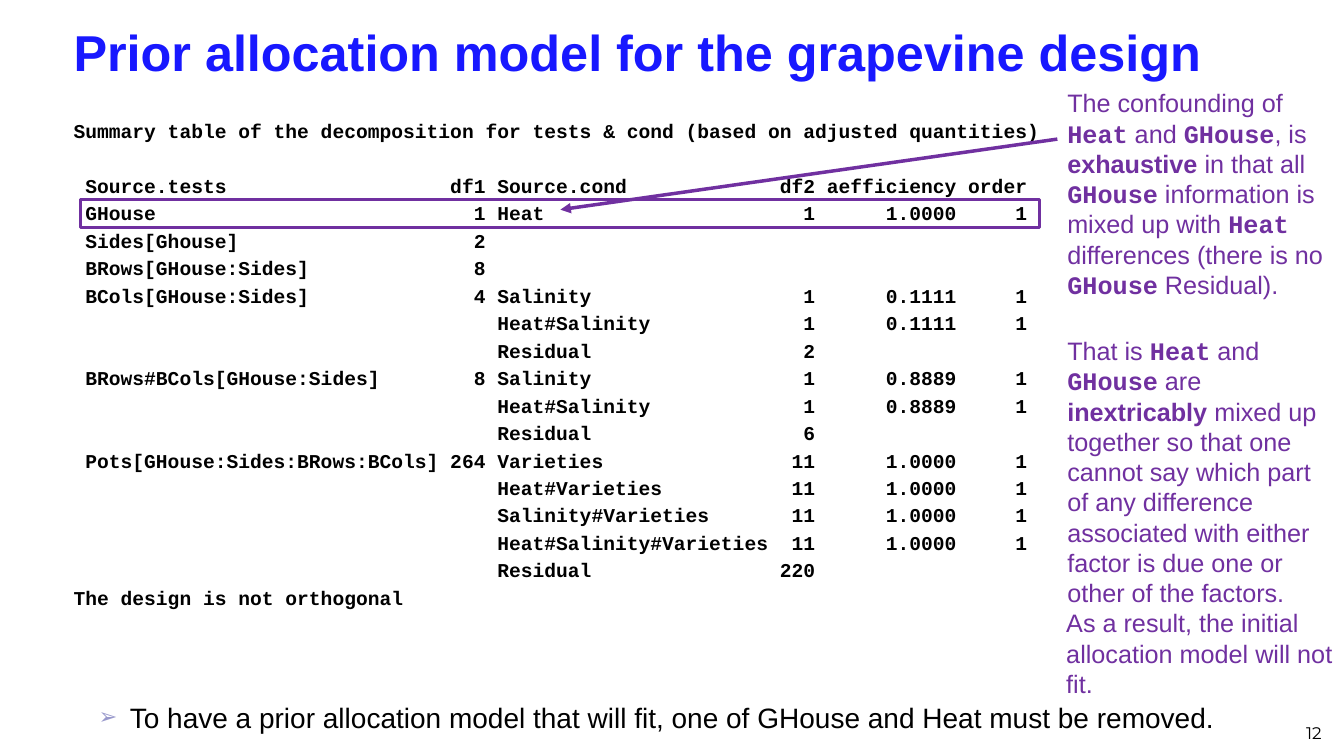
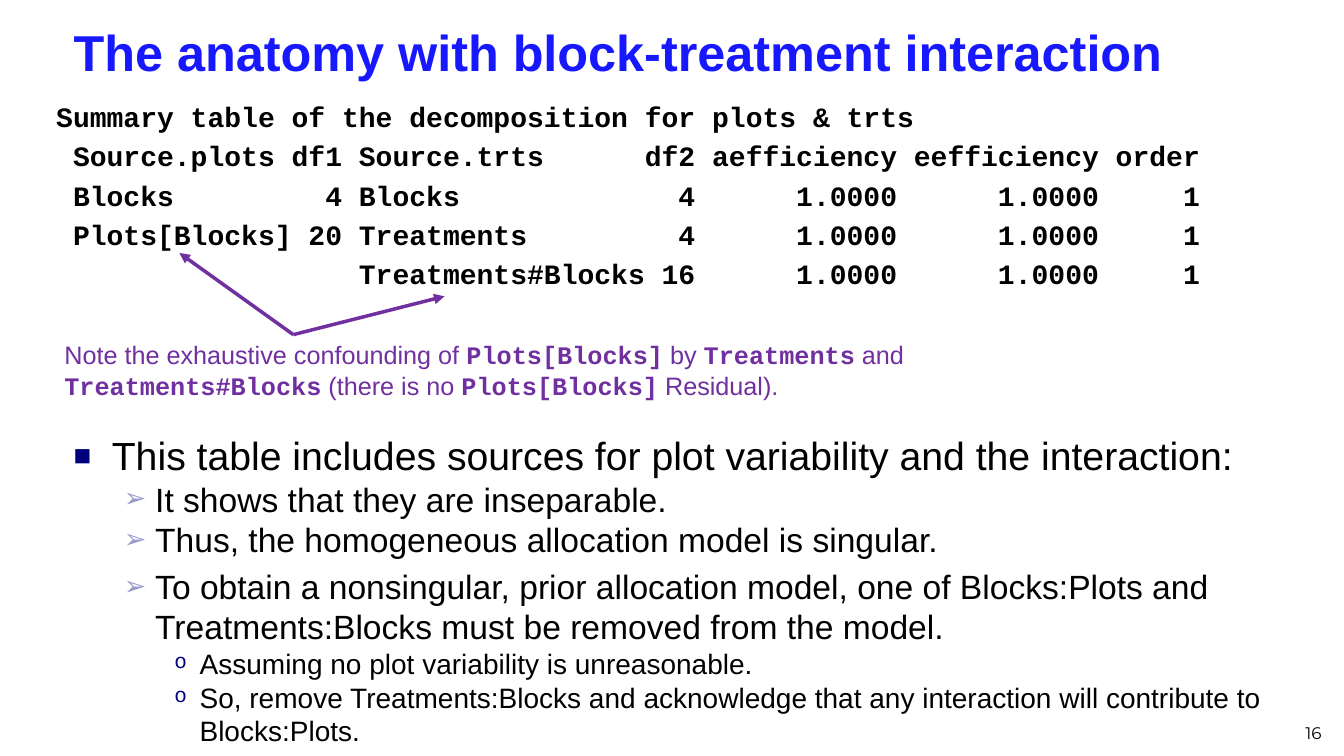
from lxml import etree
from pptx import Presentation
from pptx.dml.color import RGBColor
from pptx.enum.shapes import MSO_CONNECTOR, MSO_SHAPE
from pptx.enum.text import MSO_ANCHOR, MSO_AUTO_SIZE, PP_ALIGN
from pptx.oxml.ns import qn
from pptx.util import Emu, Inches, Pt

STRAIGHT = MSO_CONNECTOR.STRAIGHT
RECTANGLE = MSO_SHAPE.RECTANGLE
MIDDLE, BOTTOM, TOP = MSO_ANCHOR.MIDDLE, MSO_ANCHOR.BOTTOM, MSO_ANCHOR.TOP
LEFT, RIGHT = PP_ALIGN.LEFT, PP_ALIGN.RIGHT
NO_FIT = MSO_AUTO_SIZE.NONE

COLORS = {
    "title": "1818FF",
    "text": "000000",
    "note": "7030A0",
    "square": "00007D",
    "arrow": "9999CC",
}
SANS, MONO, NUMBER_FONT = "Arial", "Courier New", "Montserrat"
LINE_SHARE, GAP_SHARE = 1.2, 0.2
TITLE_AREA = (0.63, 0.11, 12.6, 0.79)
NUMBER_AREA = (10.1, 6.92, 3.11, 0.5)

LEVELS = [
    {"size": 28, "left": 0.38, "hang": 0.38, "mark": "■", "color": "square", "share": 75, "font": SANS},
    {"size": 24, "left": 0.81, "hang": 0.31, "mark": "➢", "color": "arrow", "share": 80, "font": SANS},
    {"size": 20, "left": 1.25, "hang": 0.25, "mark": "o", "color": "square", "share": 75, "font": MONO},
]

GRAPEVINE = {
    "title": "Prior allocation model for the grapevine design",
    "number": "12",
    "caption": "Summary table of the decomposition for tests & cond (based on adjusted quantities)",
    "columns": " {:<30} {:>3} {:<23} {:>3} {:>11} {:>5}",
    "rows": [
        ("Source.tests", "df1", "Source.cond", "df2", "aefficiency", "order"),
        ("GHouse", "1", "Heat", "1", "1.0000", "1"),
        ("Sides[Ghouse]", "2", "", "", "", ""),
        ("BRows[GHouse:Sides]", "8", "", "", "", ""),
        ("BCols[GHouse:Sides]", "4", "Salinity", "1", "0.1111", "1"),
        ("", "", "Heat#Salinity", "1", "0.1111", "1"),
        ("", "", "Residual", "2", "", ""),
        ("BRows#BCols[GHouse:Sides]", "8", "Salinity", "1", "0.8889", "1"),
        ("", "", "Heat#Salinity", "1", "0.8889", "1"),
        ("", "", "Residual", "6", "", ""),
        ("Pots[GHouse:Sides:BRows:BCols]", "264", "Varieties", "11", "1.0000", "1"),
        ("", "", "Heat#Varieties", "11", "1.0000", "1"),
        ("", "", "Salinity#Varieties", "11", "1.0000", "1"),
        ("", "", "Heat#Salinity#Varieties", "11", "1.0000", "1"),
        ("", "", "Residual", "220", "", ""),
    ],
    "closing": ["The design is not orthogonal"],
    "notes": [
        ((10.49, 0.82, 2.84, 2.22),
         "The confounding of `Heat` and `GHouse`, is *exhaustive* in that all `GHouse` information "
         "is mixed up with `Heat` differences (there is no `GHouse` Residual)."),
        ((10.49, 3.28, 2.84, 2.83),
         "That is `Heat` and `GHouse` are *inextricably* mixed up together so that one cannot say "
         "which part of any difference associated with either factor is due one or other of the factors."),
        ((10.48, 5.98, 2.84, 1.01),
         "As a result, the initial allocation model will not fit."),
    ],
    "arrows": [((10.49, 1.38), (5.56, 2.08))],
}
CONCLUSION = "To have a prior allocation model that will fit, one of GHouse and Heat must be removed."

INTERACTION = {
    "title": "The anatomy with block-treatment interaction",
    "number": "16",
    "caption": "Summary table of the decomposition for plots & trts",
    "columns": " {:<13}{:>3} {:<17}{:>3} {:>11} {:>11} {:>5}",
    "rows": [
        ("Source.plots", "df1", "Source.trts", "df2", "aefficiency", "eefficiency", "order"),
        ("Blocks", "4", "Blocks", "4", "1.0000", "1.0000", "1"),
        ("Plots[Blocks]", "20", "Treatments", "4", "1.0000", "1.0000", "1"),
        ("", "", "Treatments#Blocks", "16", "1.0000", "1.0000", "1"),
    ],
    "closing": [],
    "notes": [
        ((0.54, 3.32, 8.69, 0.71),
         "Note the exhaustive confounding of `Plots[Blocks]` by `Treatments` and "
         "`Treatments#Blocks` (there is no `Plots[Blocks]` Residual)."),
    ],
    "arrows": [((2.91, 3.32), (1.78, 2.51)), ((2.91, 3.32), (4.41, 2.94))],
}
FINDINGS = [
    (0, False, "This table includes sources for plot variability and the interaction:"),
    (1, False, "It shows that they are inseparable."),
    (1, False, "Thus, the homogeneous allocation model is singular."),
    (1, True, "To obtain a nonsingular, prior allocation model, one of Blocks:Plots and "
              "Treatments:Blocks must be removed from the model."),
    (2, False, "Assuming no plot variability is unreasonable."),
    (2, False, "So, remove Treatments:Blocks and acknowledge that any interaction will "
               "contribute to Blocks:Plots."),
]


def place(shape, area):
    shape.left, shape.top, shape.width, shape.height = map(Inches, area)


def prepare(shape, anchor=TOP):
    frame = shape.text_frame
    frame.word_wrap = True
    frame.auto_size = NO_FIT
    frame.vertical_anchor = anchor
    return frame


def add_box(page, area, anchor=TOP):
    return prepare(page.shapes.add_textbox(*map(Inches, area)), anchor)


def style(span, size, color, name=SANS, bold=False):
    span.font.size = Pt(size)
    span.font.name = name
    span.font.bold = bold
    span.font.color.rgb = RGBColor.from_string(COLORS[color])


def add_paragraph(frame, index):
    return frame.add_paragraph() if index else frame.paragraphs[0]


def set_spacing(para, size, before=0):
    para.line_spacing = Pt(LINE_SHARE * size)
    para.space_before = Pt(before)


def set_indent(para, left, hang):
    properties = para._p.get_or_add_pPr()
    properties.set("marL", str(Inches(left)))
    properties.set("indent", str(-Inches(hang)))
    return properties


def fill_console(frame, content, size, header_gap):
    table = [content["columns"].format(*row).rstrip() for row in content["rows"]]
    for index, line in enumerate([content["caption"], *table, *content["closing"]]):
        para = add_paragraph(frame, index)
        para.text = line
        para.alignment = LEFT
        gap = header_gap if index == 1 else GAP_SHARE
        set_spacing(para, size, gap * size if index else 0)
        etree.SubElement(set_indent(para, 0, 0), qn("a:buNone"))
        style(para.runs[0], size, "text", MONO, True)


def fill_bullet(para, text, level, size, gap):
    look = LEVELS[level]
    para.text = text
    para.level = level
    para.alignment = LEFT
    set_spacing(para, size, GAP_SHARE * size if gap else 0)
    properties = set_indent(para, look["left"], look["hang"])
    bullet_color = etree.SubElement(properties, qn("a:buClr"))
    etree.SubElement(bullet_color, qn("a:srgbClr"), val=COLORS[look["color"]])
    etree.SubElement(properties, qn("a:buSzPct"), val=str(look["share"] * 1000))
    etree.SubElement(properties, qn("a:buFont"), typeface=look["font"])
    etree.SubElement(properties, qn("a:buChar"), char=look["mark"])
    style(para.runs[0], size, "text")


def add_note(page, area, text, size=18):
    para = add_box(page, area).paragraphs[0]
    set_spacing(para, size)
    for code_index, piece in enumerate(text.split("`")):
        is_code = code_index % 2 == 1
        for bold_index, words in enumerate(piece.split("*")):
            if words:
                span = para.add_run()
                span.text = words
                style(span, size, "note", MONO if is_code else SANS, is_code or bold_index % 2 == 1)


def add_arrow(page, start, end):
    arrow = page.shapes.add_connector(STRAIGHT, *map(Inches, start + end))
    arrow.line.width = Pt(2.5)
    arrow.line.color.rgb = RGBColor.from_string(COLORS["note"])
    properties = arrow._element.spPr
    etree.SubElement(properties.find(qn("a:ln")), qn("a:tailEnd"), type="triangle")
    etree.SubElement(properties, qn("a:effectLst"))


def add_page(deck, content):
    page = deck.slides.add_slide(deck.slide_layouts[1])
    title = prepare(page.shapes.title, MIDDLE).paragraphs[0]
    title.text = content["title"]
    title.alignment = LEFT
    style(title.runs[0], 36, "title", bold=True)
    number = add_box(page, NUMBER_AREA, BOTTOM).paragraphs[0]
    number.text = content["number"]
    number.alignment = RIGHT
    style(number.runs[0], 12, "text", NUMBER_FONT)
    for area, text in content["notes"]:
        add_note(page, area, text)
    return page


def add_arrows(page, content):
    for start, end in content["arrows"]:
        add_arrow(page, start, end)


def build_grapevine(deck):
    page = add_page(deck, GRAPEVINE)
    body = page.placeholders[1]
    place(body, (0.63, 1.13, 12.13, 5.25))
    fill_console(prepare(body), GRAPEVINE, 14, LINE_SHARE + 2 * GAP_SHARE)
    frame = page.shapes.add_shape(RECTANGLE, *map(Inches, (0.8, 1.98, 9.51, 0.28)))
    frame.shadow.inherit = False
    frame.fill.background()
    frame.line.width = Pt(2)
    frame.line.color.rgb = RGBColor.from_string(COLORS["note"])
    add_arrows(page, GRAPEVINE)
    conclusion = add_box(page, (0.38, 6.9, 12.6, 0.62))
    fill_bullet(conclusion.paragraphs[0], CONCLUSION, 1, 20, False)


def build_interaction(deck):
    page = add_page(deck, INTERACTION)
    body = page.placeholders[1]
    place(body, (0.63, 4.23, 12.6, 3.2))
    frame = prepare(body)
    for index, (level, gap, text) in enumerate(FINDINGS):
        fill_bullet(add_paragraph(frame, index), text, level, LEVELS[level]["size"], gap)
    fill_console(add_box(page, (0.46, 0.94, 12.76, 2.27)), INTERACTION, 20, GAP_SHARE)
    add_arrows(page, INTERACTION)


def main():
    deck = Presentation()
    deck.slide_width, deck.slide_height = Emu(12192000), Inches(7.5)
    place(deck.slide_layouts[1].placeholders[0], TITLE_AREA)
    build_grapevine(deck)
    build_interaction(deck)
    deck.save("out.pptx")


if __name__ == "__main__":
    main()
